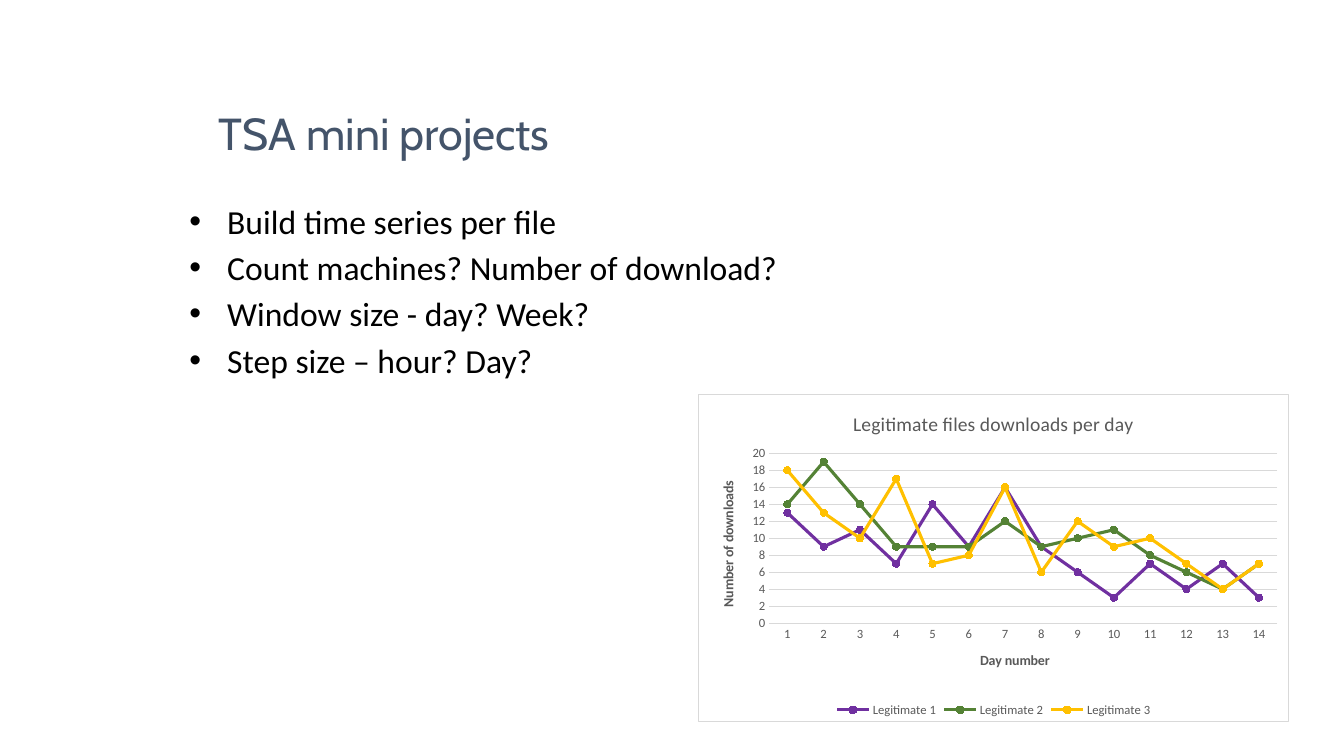
from lxml import etree
from pptx import Presentation
from pptx.chart.data import CategoryChartData
from pptx.dml.color import RGBColor
from pptx.enum.chart import XL_CHART_TYPE, XL_LEGEND_POSITION, XL_MARKER_STYLE, XL_TICK_MARK
from pptx.enum.text import MSO_ANCHOR
from pptx.oxml import parse_xml
from pptx.oxml.ns import nsdecls, qn
from pptx.util import Pt

LINE_MARKERS = XL_CHART_TYPE.LINE_MARKERS
LEGEND_BOTTOM = XL_LEGEND_POSITION.BOTTOM
CIRCLE = XL_MARKER_STYLE.CIRCLE
NO_TICK = XL_TICK_MARK.NONE
TOP, BOTTOM = MSO_ANCHOR.TOP, MSO_ANCHOR.BOTTOM

BLACK = RGBColor(0x00, 0x00, 0x00)
SLATE = RGBColor(0x44, 0x54, 0x6A)
GREY = RGBColor(0x59, 0x59, 0x59)
PALE_GREY = RGBColor(0xD9, 0xD9, 0xD9)
PURPLE = RGBColor(0x70, 0x30, 0xA0)
GREEN = RGBColor(0x54, 0x82, 0x35)
AMBER = RGBColor(0xFF, 0xC0, 0x00)

QUESTIONS = [
    "Build time series per file",
    "Count machines? Number of download?",
    "Window size - day? Week?",
    "Step size – hour? Day?",
]
DOWNLOADS = [
    ("Legitimate 1", PURPLE, (13, 9, 11, 7, 14, 9, 16, 9, 6, 3, 7, 4, 7, 3)),
    ("Legitimate 2", GREEN, (14, 19, 14, 9, 9, 9, 12, 9, 10, 11, 8, 6, 4, 7)),
    ("Legitimate 3", AMBER, (18, 13, 10, 17, 7, 8, 16, 6, 12, 9, 10, 7, 4, 7)),
]
PLOT_AREA = {"x": 0.12, "y": 0.18, "w": 0.86, "h": 0.52}


def set_attributes(target, values):
    for name, value in values.items():
        setattr(target, name, value)


def style_font(font, size, color, name="Calibri", bold=False):
    set_attributes(font, {"size": Pt(size), "name": name, "bold": bold})
    font.color.rgb = color


def style_line(line, color, width):
    line.color.rgb = color
    line.width = Pt(width)


def add_bullet(paragraph):
    properties = paragraph._p.get_or_add_pPr()
    properties.set("marL", str(Pt(27)))
    properties.set("indent", str(-Pt(27)))
    etree.SubElement(properties, qn("a:buFont")).set("typeface", "Arial")
    etree.SubElement(properties, qn("a:buChar")).set("char", "•")


def add_text(slide, box, lines, size, color, font_name, anchor=TOP, bulleted=False):
    frame = slide.shapes.add_textbox(*map(Pt, box)).text_frame
    set_attributes(frame, {"word_wrap": True, "vertical_anchor": anchor})
    for index, line in enumerate(lines):
        paragraph = frame.add_paragraph() if index else frame.paragraphs[0]
        run = paragraph.add_run()
        run.text = line
        style_font(run.font, size, color, font_name)
        if bulleted:
            paragraph.space_before = Pt(4.3)
            add_bullet(paragraph)


def set_title(owner, text, size, bold=False):
    """Give a chart or an axis its title."""
    owner.has_title = True
    frame = (owner.chart_title if hasattr(owner, "chart_title") else owner.axis_title).text_frame
    frame.text = text
    style_font(frame.paragraphs[0].runs[0].font, size, GREY, bold=bold)


def style_axis(axis, title):
    set_title(axis, title, 10, bold=True)
    set_attributes(axis, {"major_tick_mark": NO_TICK, "minor_tick_mark": NO_TICK})
    style_font(axis.tick_labels.font, 9, GREY)


def frame_chart(chart):
    """White background, thin border and fixed inner plot area."""
    chart_xml = chart._chartSpace.find(qn("c:chart"))
    chart_xml.addnext(parse_xml(
        f'<c:spPr {nsdecls("c", "a")}>'
        '<a:solidFill><a:srgbClr val="FFFFFF"/></a:solidFill>'
        f'<a:ln w="{Pt(0.75)}"><a:solidFill><a:srgbClr val="{PALE_GREY}"/></a:solidFill></a:ln>'
        '</c:spPr>'))
    plot_area = chart_xml.find(qn("c:plotArea"))
    for automatic in plot_area.findall(qn("c:layout")):
        plot_area.remove(automatic)
    modes = '<c:layoutTarget val="inner"/><c:xMode val="edge"/><c:yMode val="edge"/>'
    sizes = "".join(f'<c:{key} val="{value}"/>' for key, value in PLOT_AREA.items())
    plot_area.insert(0, parse_xml(
        f'<c:layout {nsdecls("c")}><c:manualLayout>{modes}{sizes}</c:manualLayout></c:layout>'))


def add_downloads_chart(slide, box):
    data = CategoryChartData()
    data.categories = [str(day) for day in range(1, 15)]
    for name, _, counts in DOWNLOADS:
        data.add_series(name, counts)
    chart = slide.shapes.add_chart(LINE_MARKERS, *map(Pt, box), data).chart
    style_font(chart.font, 10, BLACK)
    set_title(chart, "Legitimate files downloads per day", 14)
    frame_chart(chart)

    # Axes and gridlines
    days, counts = chart.category_axis, chart.value_axis
    style_axis(days, "Day number")
    style_line(days.format.line, PALE_GREY, 0.75)
    style_axis(counts, "Number of downloads")
    set_attributes(counts, {"minimum_scale": 0, "maximum_scale": 20, "major_unit": 2})
    counts.format.line.fill.background()
    style_line(counts.major_gridlines.format.line, PALE_GREY, 0.75)

    # Legend
    chart.has_legend = True
    set_attributes(chart.legend, {"position": LEGEND_BOTTOM, "include_in_layout": False})
    style_font(chart.legend.font, 9, GREY)

    # Series
    plot = chart.plots[0]
    plot.vary_by_categories = False
    for series, (_, color, _) in zip(plot.series, DOWNLOADS):
        series.smooth = False
        style_line(series.format.line, color, 2.25)
        set_attributes(series.marker, {"style": CIRCLE, "size": 5})
        series.marker.format.fill.solid()
        series.marker.format.fill.fore_color.rgb = color
        style_line(series.marker.format.line, color, 0.75)


def main():
    deck = Presentation()
    set_attributes(deck, {"slide_width": Pt(960), "slide_height": Pt(540)})
    slide = deck.slides.add_slide(deck.slide_layouts[6])

    # Heading and questions
    add_text(slide, (149, 49.7, 589.7, 67.7), ["TSA mini projects"], 32, SLATE, "Cabin", BOTTOM)
    add_text(slide, (128.2, 139.7, 591.8, 102.2), QUESTIONS, 24, BLACK, "Calibri", bulleted=True)

    # Downloads over two weeks
    add_downloads_chart(slide, (498.5, 281.5, 422.6, 234))

    deck.save("out.pptx")


if __name__ == "__main__":
    main()
